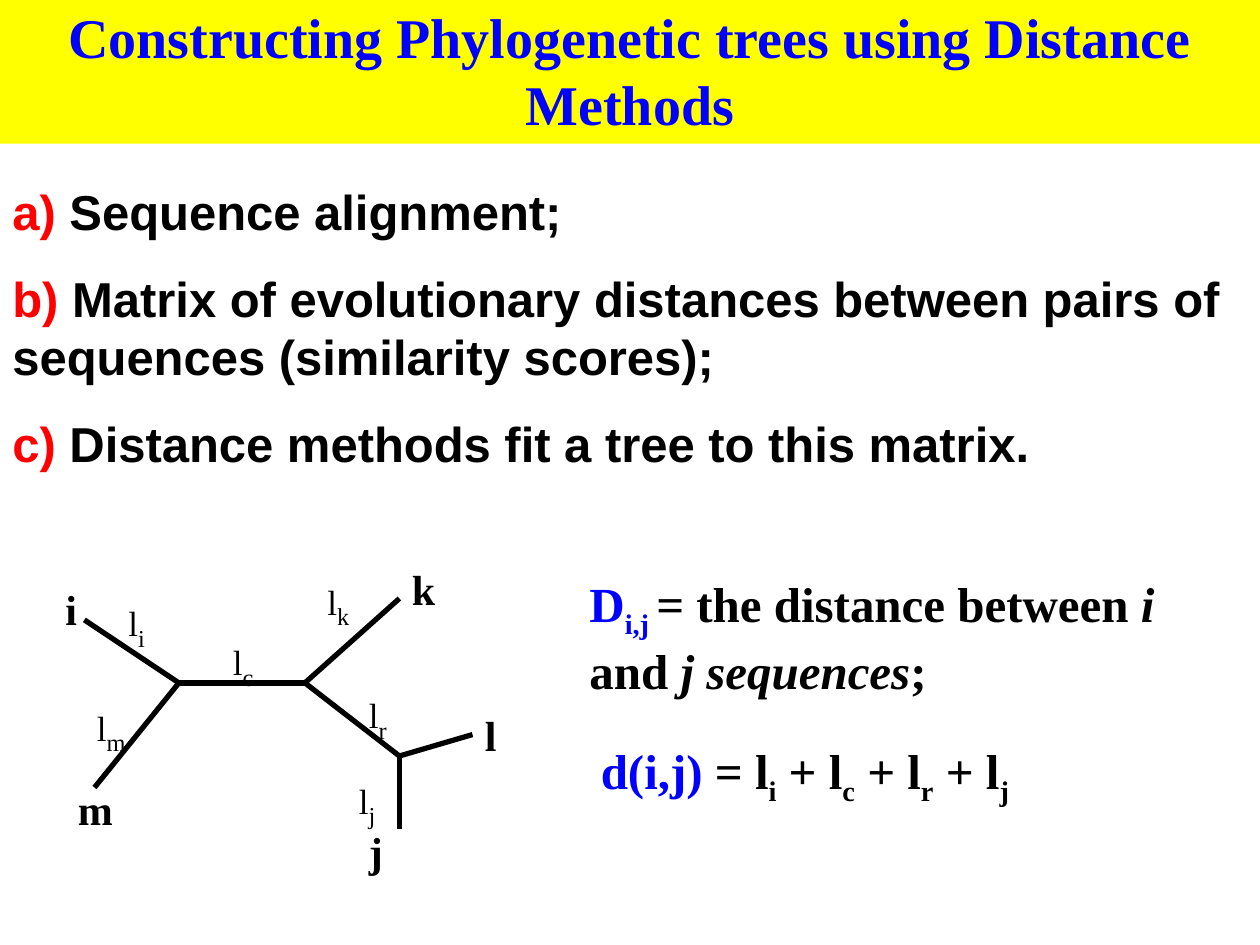
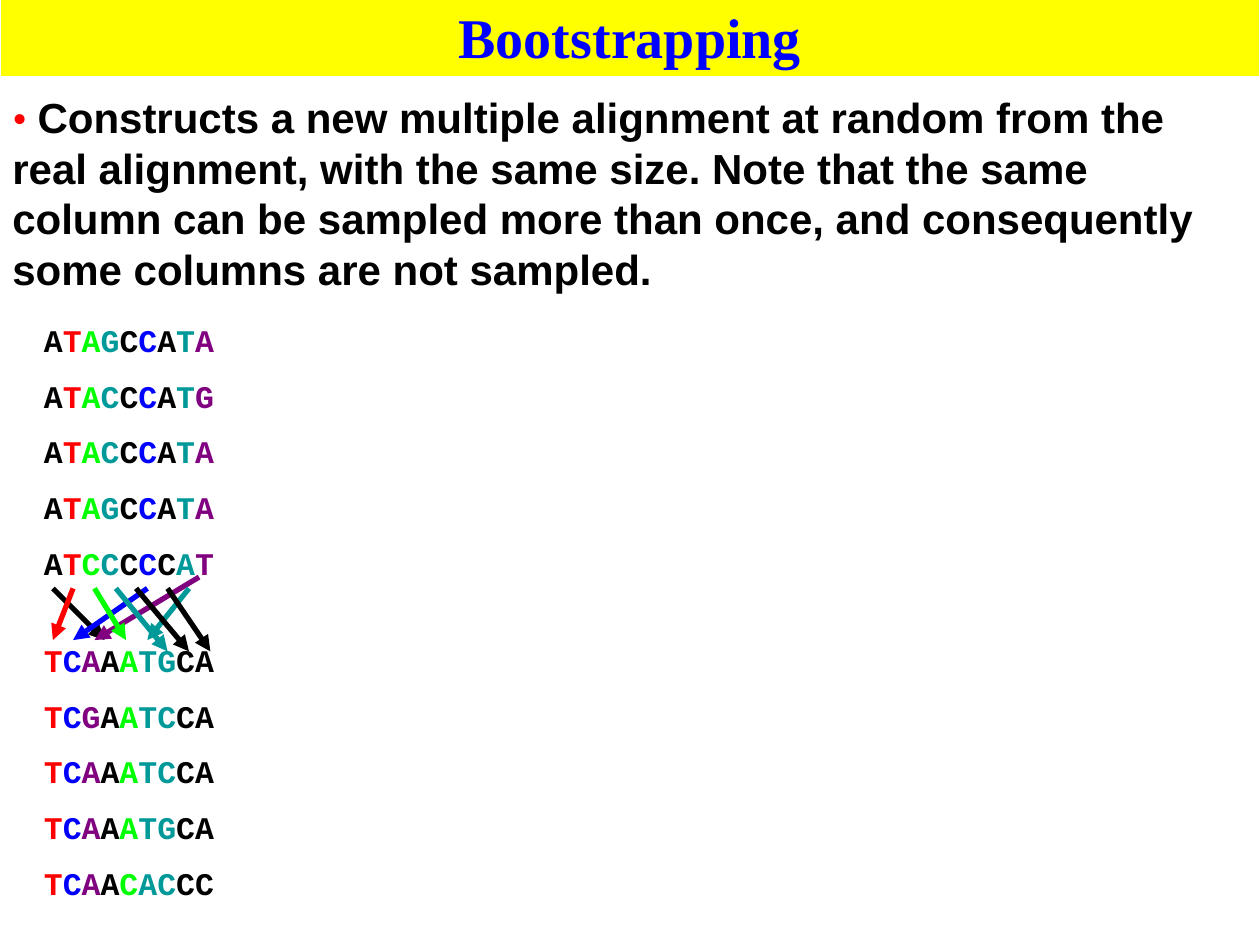
"""Builds two slides on distance trees and bootstrapping."""
from dataclasses import dataclass, replace

from lxml import etree
from pptx import Presentation, util as u
from pptx.dml import color
from pptx.enum import shapes, text
from pptx.oxml import ns


@dataclass(frozen=True)
class Style:
    font: str
    size: int
    color: str
    bold: bool = True
    italic: bool = False
    baseline: int = 0


class Theme:
    black, red, blue = "000000", "FF0000", "0000FF"
    green, teal, purple = "00FF00", "009999", "800080"
    band, paper = "FFFF00", "FFFFFF"
    serif, sans, mono = "Times New Roman", "Arial", "Courier New"
    subscript = -25000
    line_width = 3
    title = Style(serif, 32, blue)
    step = Style(sans, 28, black)
    formula = Style(serif, 28, black)
    note = Style(sans, 24, black)
    bullet = Style(serif, 24, red, bold=False)
    leaf = Style(serif, 24, black)
    branch = Style(serif, 20, black, bold=False)
    branch_index = Style(serif, 24, black, bold=False, baseline=subscript)
    sequence = Style(mono, 18, black)


class Deck:
    def __init__(self, theme):
        self.theme = theme
        self.presentation = Presentation()
        self.presentation.slide_width = u.Inches(10)
        self.presentation.slide_height = u.Inches(7.5)
        self.slide = None

    def add_slide(self, title, band_height, outline=None):
        self.slide = self.presentation.slides.add_slide(self.presentation.slide_layouts[6])
        band = self.slide.shapes.add_shape(
            shapes.MSO_SHAPE.RECTANGLE, u.Inches(0), u.Inches(-0.03), u.Inches(10), u.Inches(band_height))
        band.shadow.inherit = False
        band.fill.solid()
        band.fill.fore_color.rgb = self.rgb(self.theme.band)
        if outline:
            band.line.color.rgb = self.rgb(outline)
            band.line.width = u.Pt(0.75)
        else:
            band.line.fill.background()
        self.set_text(band.text_frame, [[(title, self.theme.title)]], alignment=text.PP_ALIGN.CENTER)

    def add_text(self, left, top, width, height, paragraphs, gap=0, wrap=True):
        box = self.slide.shapes.add_textbox(
            u.Inches(left), u.Inches(top), u.Inches(width), u.Inches(height))
        self.set_text(box.text_frame, paragraphs, gap, wrap)

    def add_line(self, start, end, line_color, arrow=False, parent=None):
        owner = parent.shapes if parent else self.slide.shapes
        points = [u.Inches(value) for value in (*start, *end)]
        line = owner.add_connector(shapes.MSO_CONNECTOR.STRAIGHT, *points)
        line.line.color.rgb = self.rgb(line_color)
        line.line.width = u.Pt(self.theme.line_width)
        if arrow:
            outline = line.line._get_or_add_ln()
            etree.SubElement(outline, ns.qn("a:tailEnd"), type="triangle")
        etree.SubElement(line._element.spPr, ns.qn("a:effectLst"))

    def set_text(self, frame, paragraphs, gap=0, wrap=True, alignment=text.PP_ALIGN.LEFT):
        frame.word_wrap = wrap
        frame.auto_size = text.MSO_AUTO_SIZE.SHAPE_TO_FIT_TEXT
        frame.vertical_anchor = text.MSO_ANCHOR.TOP
        for index, runs in enumerate(paragraphs):
            paragraph = frame.add_paragraph() if index else frame.paragraphs[0]
            paragraph.alignment = alignment
            if index and gap:
                paragraph.space_before = u.Pt(gap)
            for words, style in runs:
                run = paragraph.add_run()
                run.text = words
                run.font.name = style.font
                run.font.size = u.Pt(style.size)
                run.font.bold = style.bold
                run.font.italic = style.italic
                run.font.color.rgb = self.rgb(style.color)
                if style.baseline:
                    run._r.get_or_add_rPr().set("baseline", str(style.baseline))

    @staticmethod
    def rgb(value):
        return color.RGBColor.from_string(value)


def add_tree(deck):
    theme = deck.theme
    left_node, right_node, lower_node = (1.42, 5.42), (2.42, 5.42), (3.17, 6)
    branches = [
        (left_node, right_node),
        (left_node, (0.67, 4.92)),
        (left_node, (0.75, 6.25)),
        (right_node, (3.17, 4.75)),
        (right_node, lower_node),
        (lower_node, (3.75, 5.83)),
        (lower_node, (3.17, 6.58)),
    ]
    tree = deck.slide.shapes.add_group_shape()
    for start, end in branches:
        deck.add_line(start, end, theme.black, parent=tree)

    leaves = [("i", 0.42, 4.58, 0.29), ("k", 3.17, 4.42, 0.39), ("l", 3.75, 5.58, 0.29),
              ("j", 2.83, 6.5, 0.31), ("m", 0.52, 6.17, 0.48)]
    for name, left, top, width in leaves:
        deck.add_text(left, top, width, 0.5, [[(name, theme.leaf)]], wrap=False)

    lengths = [("i", 0.92, 4.67, 0.34), ("k", 2.5, 4.5, 0.39), ("r", 2.83, 5.4, 0.35),
               ("j", 2.75, 6.08, 0.34), ("c", 1.75, 4.98, 0.38), ("m", 0.67, 5.5, 0.45)]
    for name, left, top, width in lengths:
        runs = [("l", theme.branch), (name, theme.branch_index)]
        deck.add_text(left, top, width, 0.43, [runs], wrap=False)


def distance_slide(deck):
    theme = deck.theme
    deck.add_slide("Constructing Phylogenetic trees using Distance Methods", 1.17)
    steps = [
        ("a)", " Sequence alignment;"),
        ("b)", " Matrix of evolutionary distances between pairs of sequences (similarity scores);"),
        ("c)", " Distance methods fit a tree to this matrix."),
    ]
    marker = replace(theme.step, color=theme.red)
    deck.add_text(0, 1.39, 10, 2.44,
                  [[(letter, marker), (words, theme.step)] for letter, words in steps], gap=16)
    add_tree(deck)

    plain = theme.formula
    symbol = replace(plain, color=theme.blue)
    italic = replace(plain, italic=True)
    index = replace(plain, baseline=theme.subscript)
    branch_sum = [("d(i,j)", symbol)]
    for position, name in enumerate("icrj"):
        branch_sum += [(" + l" if position else " = l", plain), (name, index)]
    deck.add_text(4.67, 5.83, 5, 0.57, [branch_sum])
    deck.add_text(4.58, 4.5, 5.08, 1.04, [[
        ("D", symbol), ("i,j ", replace(symbol, baseline=theme.subscript)),
        ("= the distance between ", plain), ("i", italic), (" and ", plain),
        ("j sequences", italic), (";", plain)]])


def bootstrap_slide(deck):
    theme = deck.theme
    deck.add_slide("Bootstrapping", 0.64, outline=theme.paper)
    deck.add_text(0, 0.68, 10, 1.72, [[
        ("• ", theme.bullet),
        ("Constructs a new multiple alignment at random from the real alignment, with the same size. "
         "Note that the same column can be sampled more than once, and consequently some columns "
         "are not sampled.", theme.note)]])

    column_colors = [theme.black, theme.red, theme.green, theme.teal, theme.black,
                     theme.blue, theme.black, theme.teal, theme.purple]
    sampled_columns = [1, 5, 8, 0, 2, 7, 3, 4, 6]
    sampled_colors = [column_colors[column] for column in sampled_columns]
    alignments = [
        (2.5, 1.75, column_colors,
         ["ATAGCCATA", "ATACCCATG", "ATACCCATA", "ATAGCCATA", "ATCCCCCAT"]),
        (5.04, 1.67, sampled_colors,
         ["TCAAATGCA", "TCGAATCCA", "TCAAATCCA", "TCAAATGCA", "TCAACACCC"]),
    ]
    for top, width, colors, sequences in alignments:
        rows = [[(base, replace(theme.sequence, color=shade)) for base, shade in zip(sequence, colors)]
                for sequence in sequences]
        deck.add_text(0.25, top, width, 2.21, rows, gap=10.2)

    start_lefts = [0.42, 0.58, 0.75, 0.92, 1.08, 1.17, 1.33, 1.5, 1.58]
    end_lefts = [0.42, 0.58, 0.75, 0.83, 1, 1.17, 1.33, 1.5, 1.67]
    for column in (0, 1, 5, 8, 2, 7, 3, 4, 6):
        slot = sampled_columns.index(column)
        start = (start_lefts[column], 4.58 if column == 8 else 4.67)
        end = (end_lefts[slot], 5.08 if slot < 6 else 5.17)
        deck.add_line(start, end, column_colors[column], arrow=True)


def main():
    deck = Deck(Theme())
    distance_slide(deck)
    bootstrap_slide(deck)
    deck.presentation.save("out.pptx")


if __name__ == "__main__":
    main()
